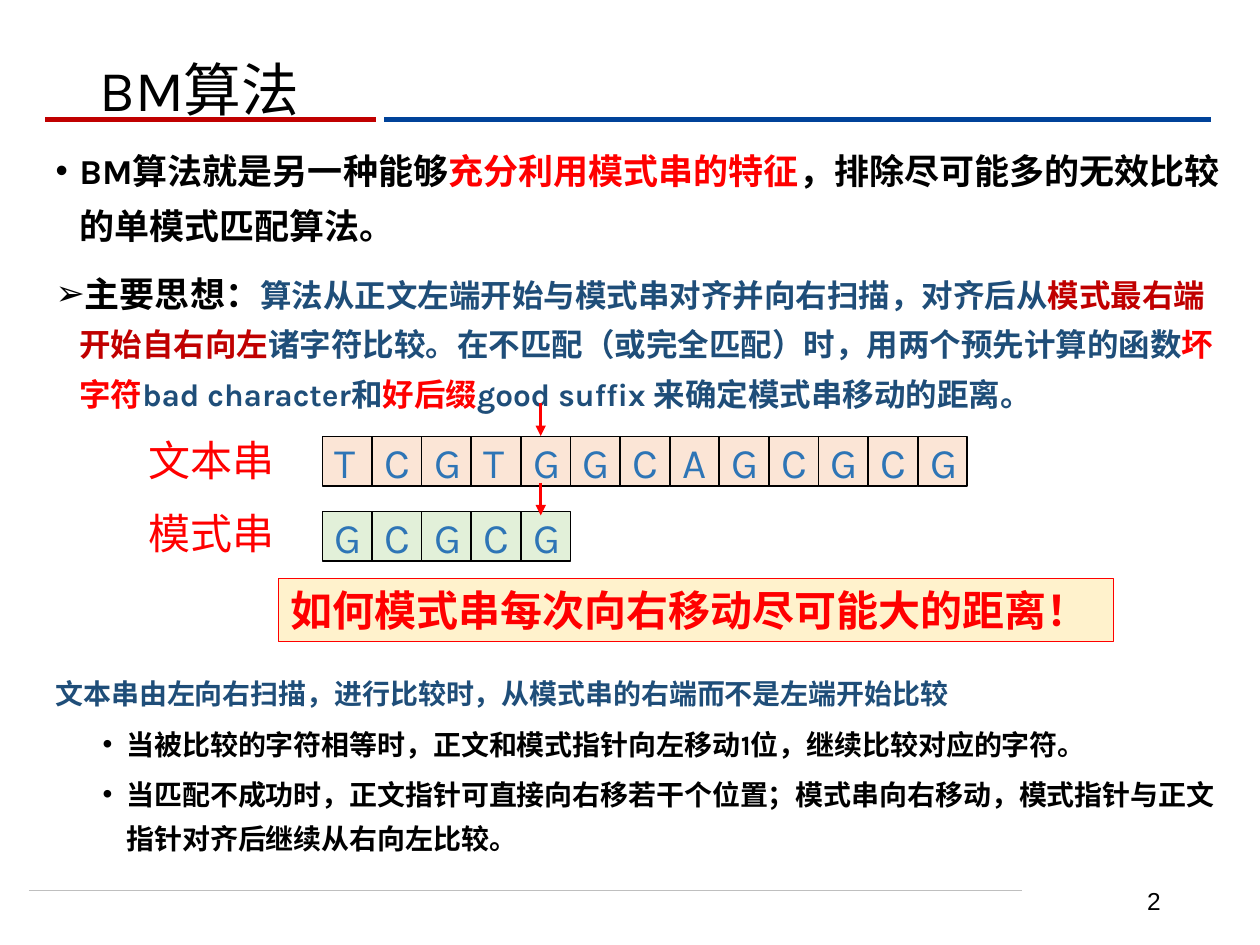
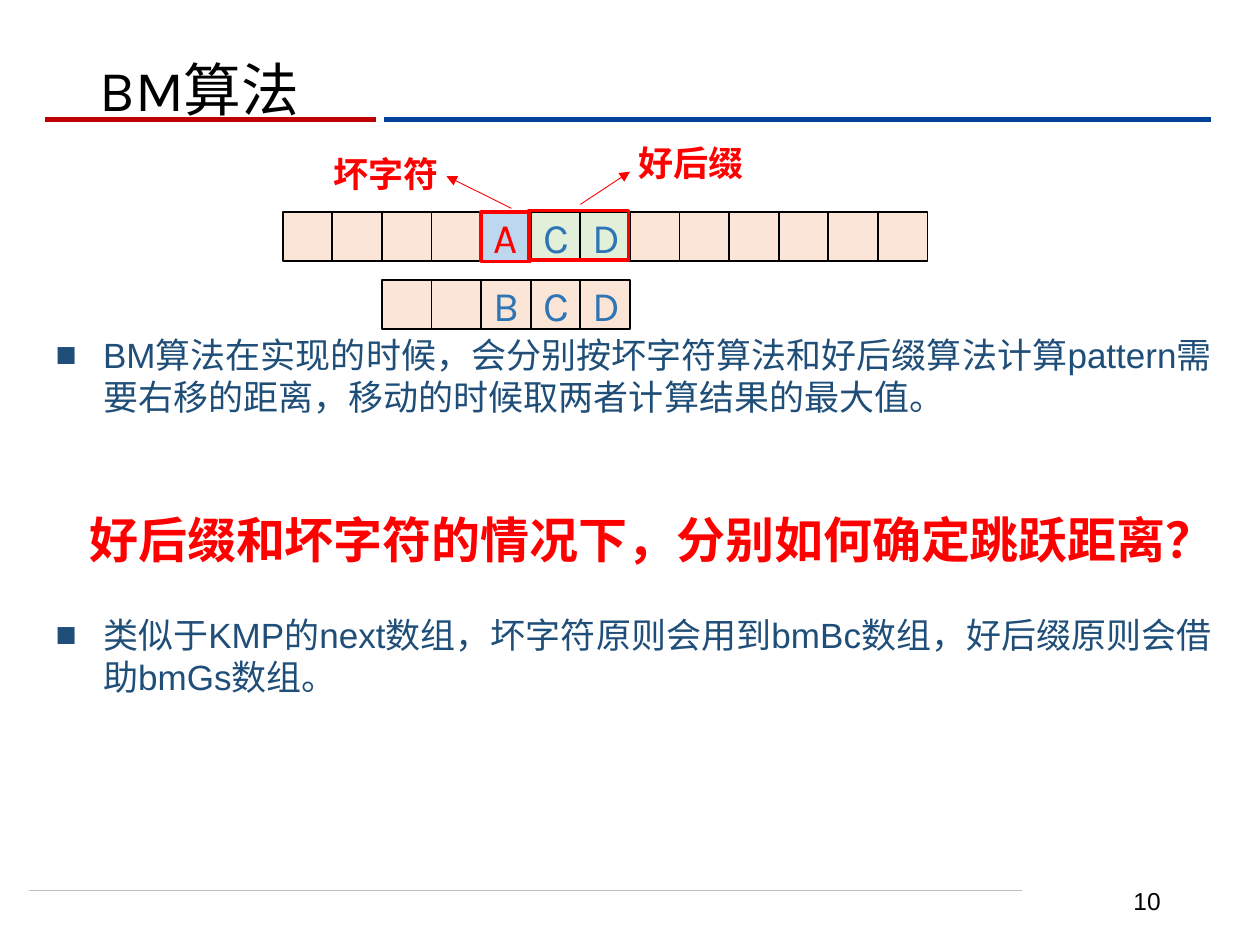
import pptx
import pptx.dml.color
import pptx.enum.shapes
import pptx.enum.text
import pptx.oxml.ns
import pptx.util
import lxml.etree

Cm, Pt = pptx.util.Cm, pptx.util.Pt
qn = pptx.oxml.ns.qn
Shape = pptx.enum.shapes.MSO_SHAPE
Anchor = pptx.enum.text.MSO_ANCHOR
Align = pptx.enum.text.PP_ALIGN

BLACK, RED, CRIMSON = "000000", "FF0000", "C00000"
NAVY, BLUE, ROYAL, GRAY = "1F4E79", "2E75B6", "004299", "BFBFBF"
PEACH, GREEN, SKY, CREAM = "FBE5D6", "E2F0D9", "BDD7EE", "FFF2CC"
CELL = 1  # side of a letter cell in cm


def hue(code):
    return pptx.dml.color.RGBColor.from_string(code)


class Deck:
    """Holds the style and the current slide."""

    def __init__(self):
        self.prs = pptx.Presentation()
        self.prs.slide_width, self.prs.slide_height = Cm(25.4), Cm(19.05)
        self.slide = None

    def page(self, title, number):
        """Start a slide with its title, rules and page number."""
        self.slide = self.prs.slides.add_slide(self.prs.slide_layouts[6])
        self.line(0.58, 17.96, 20.6, 17.96, GRAY, 0.5)
        self.line(7.75, 2.41, 24.41, 2.41, ROYAL, 3)
        self.line(0.91, 2.41, 7.57, 2.41, CRIMSON, 3)
        self.label(17.93, 17.65, 5.72, 1.02, number, 14, BLACK, align=Align.RIGHT)
        self.label(1.75, -0.05, 21.9, 3.68, title, 33, BLACK, font="Karla")

    def line(self, x1, y1, x2, y2, color, width, arrow=False):
        link = self.slide.shapes.add_connector(
            pptx.enum.shapes.MSO_CONNECTOR.STRAIGHT, Cm(x1), Cm(y1), Cm(x2), Cm(y2))
        link.line.color.rgb = hue(color)
        link.line.width = Pt(width)
        if arrow:
            lxml.etree.SubElement(link.line._ln, qn("a:tailEnd"), type="triangle")
        lxml.etree.SubElement(link._element.spPr, qn("a:effectLst"))

    def box(self, x, y, w, h, fill, edge, width):
        """Draw a rectangle; without a fill colour it is a frame."""
        rect = self.slide.shapes.add_shape(Shape.RECTANGLE, Cm(x), Cm(y), Cm(w), Cm(h))
        rect.shadow.inherit = False
        if fill:
            rect.fill.solid()
            rect.fill.fore_color.rgb = hue(fill)
        else:
            rect.fill.background()
        rect.line.color.rgb = hue(edge)
        rect.line.width = Pt(width)
        return rect

    def run(self, para, text, size, color, font="Arial", bold=False):
        run = para.add_run()
        run.text = text
        run.font.size, run.font.bold, run.font.name = Pt(size), bold, font
        run.font.color.rgb = hue(color)
        east = lxml.etree.SubElement(run._r.get_or_add_rPr(), qn("a:ea"))
        east.set("typeface", font)

    def frame(self, shape, anchor=Anchor.MIDDLE):
        frame = shape.text_frame
        frame.word_wrap = True
        frame.vertical_anchor = anchor
        return frame

    def field(self, x, y, w, h, anchor=Anchor.MIDDLE):
        shape = self.slide.shapes.add_textbox(Cm(x), Cm(y), Cm(w), Cm(h))
        return self.frame(shape, anchor)

    def label(self, x, y, w, h, text, size, color, align=Align.LEFT, **style):
        """Place one line of text."""
        para = self.field(x, y, w, h).paragraphs[0]
        para.alignment = align
        self.run(para, text, size, color, **style)

    def prose(self, y, h, items, space=1.0, **style):
        """Fill a body box; an item is (bullet, left, hang, before, runs)."""
        frame = self.field(0.87, y, 24.13, h, Anchor.TOP)
        for i, (mark, left, hang, before, runs) in enumerate(items):
            para = frame.add_paragraph() if i else frame.paragraphs[0]
            para.line_spacing = space
            para.space_before = Pt(before)
            if mark:
                props = para._p.get_or_add_pPr()
                props.set("marL", str(Cm(left)))
                props.set("indent", str(-Cm(hang)))
                lxml.etree.SubElement(props, qn("a:buFont"), typeface="Arial")
                lxml.etree.SubElement(props, qn("a:buChar"), char=mark)
            for text, size, color in runs:
                self.run(para, text, size, color, **style)

    def cells(self, x, y, text, fill, marks=None):
        """Draw a row of cells; marks maps an index to (fill, edge, width, ink)."""
        for i, char in enumerate(text):
            shade, edge, width, ink = (marks or {}).get(i, (fill, BLACK, 1, BLUE))
            rect = self.box(x + i * CELL, y, CELL, CELL, shade, edge, width)
            if char != " ":
                para = self.frame(rect).paragraphs[0]
                para.alignment = Align.LEFT
                self.run(para, char, 24, ink, font="Karla")


def idea(deck):
    """Main idea of the algorithm."""
    deck.page("BM算法", "2")
    deck.prose(2.64, 8, [
        ("•", 0.48, 0.48, 7.5, [
            ("BM算法就是另一种能够", 20, BLACK),
            ("充分利用模式串的特征", 20, RED),
            ("，排除尽可能多的无效比较的单模式匹配算法。", 20, BLACK)]),
        ("➢", 0.48, 0.48, 7.5, [
            ("主要思想：", 20, BLACK),
            ("算法从正文左端开始与模式串对齐并向右扫描，对齐后从", 18, NAVY),
            ("模式最右端开始自右向左", 18, CRIMSON),
            ("诸字符比较。在不匹配（或完全匹配）时，用两个预先计算的函数", 18, NAVY),
            ("坏字符", 18, RED),
            ("bad character和", 18, NAVY),
            ("好后缀", 18, RED),
            ("good suffix 来确定模式串移动的距离。", 18, NAVY)]),
    ], space=1.3, font="Karla", bold=True)

    # Text and pattern rows
    rows = [("文本串", 8.64, 8.8, "TCGTGGCAGCGCG", PEACH),
            ("模式串", 10.11, 10.31, "GCGCG", GREEN)]
    for name, top, y, text, fill in rows:
        deck.label(2.74, top, 3.4, 1.27, name, 24, RED)
        deck.cells(6.5, y, text, fill)
    for y in (8.13, 9.73):
        deck.line(10.9, y, 10.9, y + 0.66, RED, 1.5, arrow=True)

    # Callout
    deck.box(5.61, 11.66, 16.84, 1.28, CREAM, RED, 0.75)
    deck.label(5.61, 11.66, 16.84, 1.28, "如何模式串每次向右移动尽可能大的距离！",
               24, RED, bold=True)

    # Scanning rules
    deck.prose(13.32, 4.3, [
        (None, 0, 0, 7.5, [
            ("文本串由左向右扫描，进行比较时，从模式串的右端而不是左端开始比较", 16, NAVY)]),
        ("•", 1.43, 0.48, 3.8, [
            ("当被比较的字符相等时，正文和模式指针向左移动1位，继续比较对应的字符。", 16, BLACK)]),
        ("•", 1.43, 0.48, 3.8, [
            ("当匹配不成功时，正文指针可直接向右移若干个位置；模式串向右移动，"
             "模式指针与正文指针对齐后继续从右向左比较。", 16, BLACK)]),
    ], space=1.3, font="Karla", bold=True)


def shift(deck):
    """Bad character and good suffix."""
    deck.page("BM算法", "10")
    suffix = (GREEN, BLACK, 1, BLUE)
    deck.cells(5.7, 4.27, "    ACD      ", PEACH,
               {4: (SKY, RED, 2, RED), 5: suffix, 6: suffix})
    deck.cells(7.7, 5.64, "  BCD", PEACH)
    deck.box(10.67, 4.24, 2 * CELL, CELL, None, RED, 2)

    # Names of the two parts
    deck.line(11.7, 4.12, 12.7, 3.46, RED, 0.5, arrow=True)
    deck.line(10.31, 4.2, 9, 3.55, RED, 0.5, arrow=True)
    deck.label(6.48, 2.95, 4.52, 1.11, "坏字符", 20, RED, bold=True)
    deck.label(12.62, 2.72, 4.52, 1.11, "好后缀", 20, RED, bold=True)

    # Notes and question
    notes = [
        (6.6, "BM算法在实现的时候，会分别按坏字符算法和好后缀算法计算pattern"
              "需要右移的距离，移动的时候取两者计算结果的最大值。"),
        (12.25, "类似于KMP的next数组，坏字符原则会用到bmBc数组，"
                "好后缀原则会借助bmGs数组。")]
    for y, text in notes:
        deck.prose(y, 2.1, [("■", 0.96, 0.96, 0, [(text, 20, NAVY)])])
    deck.label(1.55, 10.13, 22.78, 1.45,
               "好后缀和坏字符的情况下，分别如何确定跳跃距离？", 28, RED, bold=True)


def main():
    deck = Deck()
    idea(deck)
    shift(deck)
    deck.prs.save("out.pptx")


if __name__ == "__main__":
    main()
